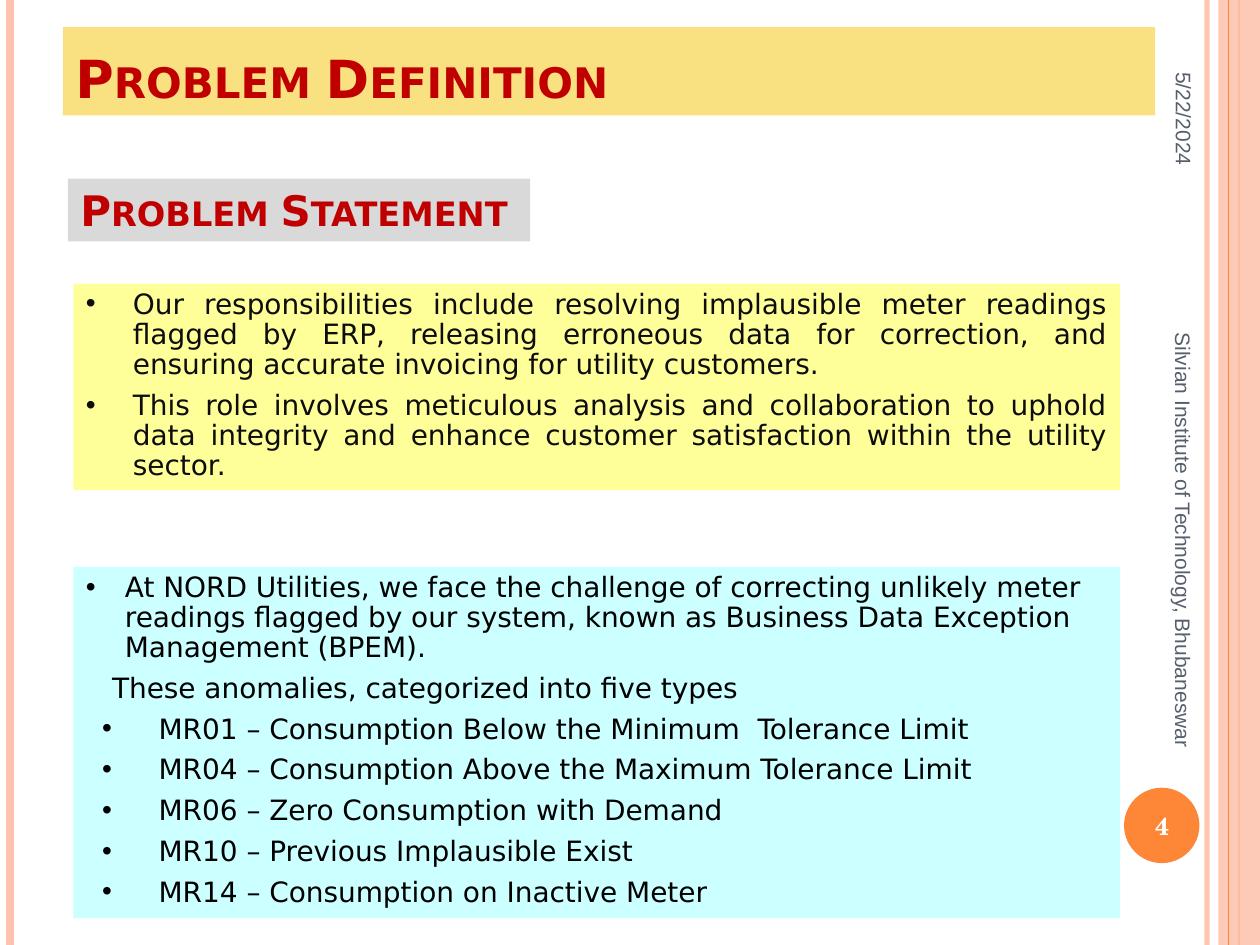
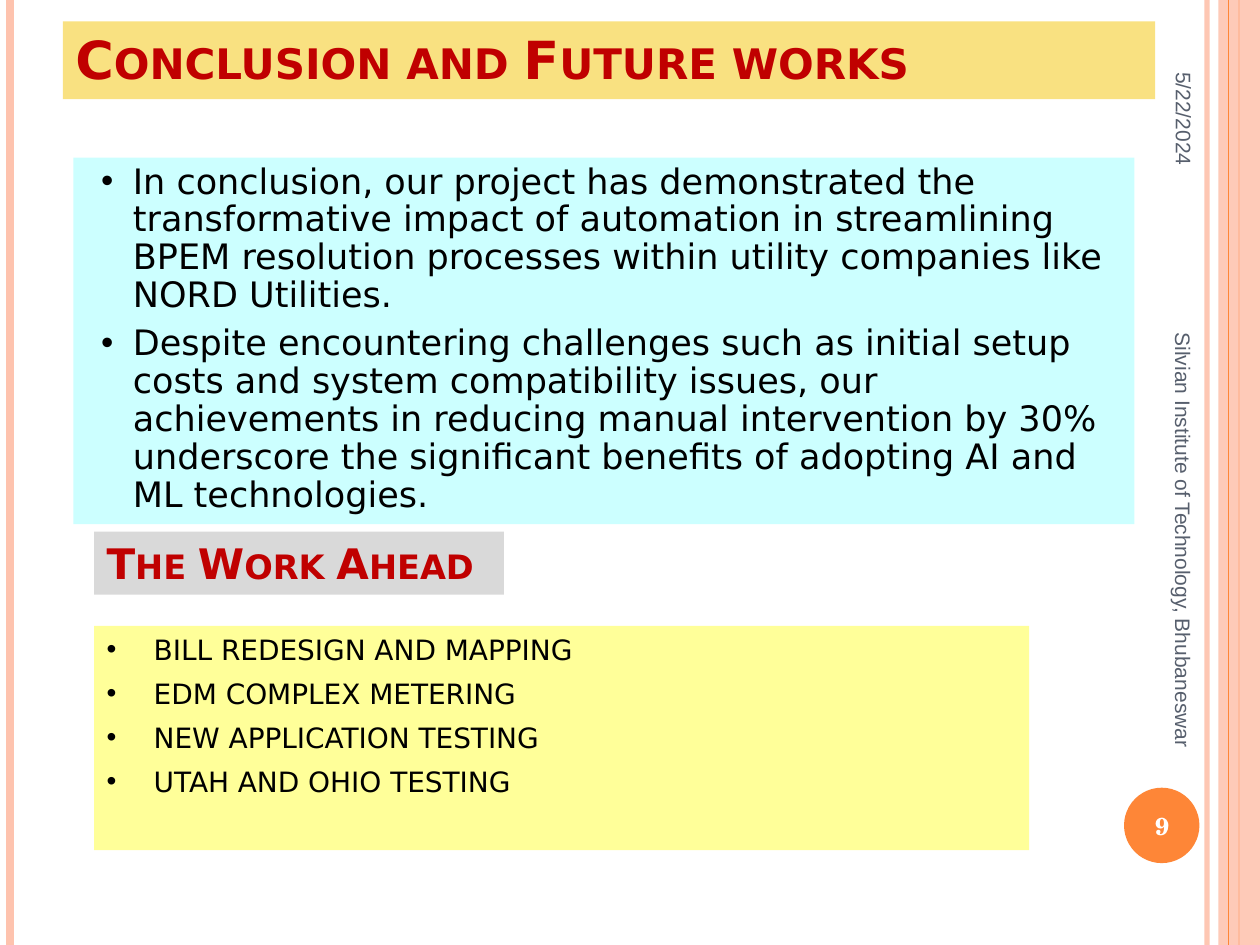
from dataclasses import dataclass
from typing import Any, NamedTuple

import pptx
import pptx.dml.color
import pptx.enum.shapes
import pptx.enum.text
import pptx.oxml.xmlchemy
import pptx.util
from lxml import etree
from pptx.oxml.ns import qn

Cm = pptx.util.Cm
Pt = pptx.util.Pt
Align = pptx.enum.text.PP_ALIGN
Anchor = pptx.enum.text.MSO_ANCHOR
Preset = pptx.enum.shapes.MSO_SHAPE


@dataclass(frozen=True)
class Theme:
    peach: str = "FEC3AE"
    orange: str = "FE8637"
    title_band: str = "F9E181"
    heading_band: str = "D9D9D9"
    yellow: str = "FFFF99"
    cyan: str = "CCFFFF"
    red: str = "C00000"
    ink: str = "000000"
    soft_ink: str = "0D0D0D"
    slate: str = "575F6D"
    white: str = "FFFFFF"
    body_font: str = "DejaVu Sans"
    footer_font: str = "Arial"
    number_font: str = "TeX Gyre Schola"
    title_size: int = 30
    heading_size: int = 24
    large_size: int = 20
    body_size: int = 16
    number_size: int = 14
    footer_size: int = 12


THEME = Theme()


class Box(NamedTuple):
    left: float
    top: float
    width: float
    height: float


class Style(NamedTuple):
    size: int
    color: str
    font: str = THEME.body_font
    bold: bool = False
    small_caps: bool = False


class Para(NamedTuple):
    text: str
    margin: float = 0
    hanging: float = 0
    align: Any = None
    line_spacing: float = 1
    space_after: float = 0


class Rail(NamedTuple):
    x: float
    color: str
    width: float
    alpha: int = 100


class Footer(NamedTuple):
    box: Box
    style: Style
    align: Any
    rotation: int = 0


PAGE_HEIGHT = 19.05
EDGE_BAND = Box(24.56, 0, 0.84, PAGE_HEIGHT)
EDGE_RAIL = Rail(24.98, THEME.orange, 1.5)
OUTER_RAILS = [Rail(24.33, THEME.peach, 3, 93), Rail(0.2, THEME.peach, 4.5)]
INNER_RAIL = Rail(24.77, THEME.orange, 0.75)
NUMBER_DISC = Box(22.66, 15.88, 1.52, 1.52)

TITLE = Style(THEME.title_size, THEME.red, bold=True, small_caps=True)
HEADING = Style(THEME.heading_size, THEME.red, bold=True, small_caps=True)
BODY = Style(THEME.body_size, THEME.ink)
SOFT_BODY = Style(THEME.body_size, THEME.soft_ink)
LARGE_BODY = Style(THEME.large_size, THEME.ink)
FOOTER = Style(THEME.footer_size, THEME.slate, THEME.footer_font)
NUMBER = Style(THEME.number_size, THEME.white, THEME.number_font, bold=True)

DATE = Footer(Box(22.45, 1.63, 2.84, 1.07), FOOTER, Align.RIGHT, 90)
PAGE_NUMBER = Footer(Box(22.58, 15.93, 1.7, 1.45), NUMBER, Align.CENTER)
INSTITUTE = Footer(Box(19.41, 10.39, 8.89, 1.02), FOOTER, Align.LEFT, 90)


def rgb(color: str) -> Any:
    return pptx.dml.color.RGBColor.from_string(color)


def lengths(box: Box) -> list:
    return [Cm(value) for value in box]


def set_alpha(element: Any, percent: int) -> None:
    if percent < 100:
        color = next(element.iter(qn("a:srgbClr")))
        etree.SubElement(color, qn("a:alpha"), val=str(percent * 1000))


def write(frame: Any, paras: list[Para], style: Style, anchor: Any) -> None:
    frame.word_wrap = True
    frame.vertical_anchor = anchor
    for index, para in enumerate(paras):
        paragraph = frame.add_paragraph() if index else frame.paragraphs[0]
        paragraph.alignment = para.align or Align.LEFT
        paragraph.line_spacing = para.line_spacing
        paragraph.space_after = Pt(para.space_after)
        properties = paragraph._p.get_or_add_pPr()
        properties.set("marL", str(Cm(para.margin)))
        properties.set("indent", str(-Cm(para.hanging)))
        if para.hanging:
            etree.SubElement(properties, qn("a:buFont"), typeface="Arial")
            etree.SubElement(properties, qn("a:buChar"), char="•")
        run = paragraph.add_run()
        run.text = para.text
        run.font.size = Pt(style.size)
        run.font.name = style.font
        run.font.bold = style.bold
        run.font.color.rgb = rgb(style.color)
        if style.small_caps:
            run._r.get_or_add_rPr().set("cap", "small")


def add_fill(slide: Any, box: Box, color: str, preset: Any = Preset.RECTANGLE, alpha: int = 100) -> Any:
    shape = slide.shapes.add_shape(preset, *lengths(box))
    shape.shadow.inherit = False
    shape.fill.solid()
    shape.fill.fore_color.rgb = rgb(color)
    shape.line.fill.background()
    set_alpha(shape._element.spPr, alpha)
    return shape


def add_panel(slide: Any, box: Box, color: str, paras: list[Para], style: Style, anchor: Any = Anchor.TOP) -> None:
    write(add_fill(slide, box, color).text_frame, paras, style, anchor)


def add_rail(slide: Any, rail: Rail) -> Any:
    line = slide.shapes.add_connector(
        pptx.enum.shapes.MSO_CONNECTOR.STRAIGHT, Cm(rail.x), Cm(0), Cm(rail.x), Cm(PAGE_HEIGHT)
    )
    line.line.color.rgb = rgb(rail.color)
    line.line.width = Pt(rail.width)
    properties = line._element.spPr
    set_alpha(properties, rail.alpha)
    etree.SubElement(properties, qn("a:effectLst"))
    return line


def add_frame(slide: Any) -> None:
    for rail in OUTER_RAILS:
        add_rail(slide, rail)
    edge_band = add_fill(slide, EDGE_BAND, THEME.peach, alpha=87)
    edge_rail = add_rail(slide, EDGE_RAIL)
    edge_rail.begin_connect(edge_band, 0)
    edge_rail.end_connect(edge_band, 2)
    edge_band._element.addprevious(edge_rail._element)
    add_rail(slide, INNER_RAIL)
    add_fill(slide, NUMBER_DISC, THEME.orange, Preset.OVAL)


def add_footer(slide: Any, footer: Footer, text: str) -> None:
    label = slide.shapes.add_textbox(*lengths(footer.box))
    label.rotation = footer.rotation
    write(label.text_frame, [Para(text, align=footer.align)], footer.style, Anchor.MIDDLE)


def add_footers(slide: Any, number: int) -> None:
    add_footer(slide, DATE, "5/22/2024")
    add_footer(slide, PAGE_NUMBER, str(number))
    add_footer(slide, INSTITUTE, "Silvian Institute of Technology, Bhubaneswar")


def add_title(slide: Any, text: str, top: float, height: float, anchor: Any) -> None:
    add_panel(slide, Box(1.27, top, 22.02, height), THEME.title_band, [Para(text)], TITLE, anchor)


def add_heading(slide: Any, text: str, left: float, top: float, width: float) -> None:
    add_panel(slide, Box(left, top, width, 1.27), THEME.heading_band, [Para(text)], HEADING)


def build_problem(slide: Any) -> None:
    add_frame(slide)
    add_title(slide, "Problem Definition", 0.55, 1.78, Anchor.BOTTOM)
    add_heading(slide, "Problem Statement", 1.37, 3.6, 9.32)
    responsibilities = [
        "Our responsibilities include resolving implausible meter readings flagged by ERP, "
        "releasing erroneous data for correction, and ensuring accurate invoicing for utility customers.",
        "This role involves meticulous analysis and collaboration to uphold data integrity "
        "and enhance customer satisfaction within the utility sector.",
    ]
    add_panel(
        slide, Box(1.48, 5.72, 21.1, 4.16), THEME.yellow,
        [Para(text, 0.95, 0.95, Align.JUSTIFY, 0.9, 6) for text in responsibilities], SOFT_BODY,
    )
    challenge = (
        "At NORD Utilities, we face the challenge of correcting unlikely meter readings flagged "
        "by our system, known as Business Data Exception Management (BPEM)."
    )
    anomalies = [
        "MR01 – Consumption Below the Minimum  Tolerance Limit",
        "MR04 – Consumption Above the Maximum Tolerance Limit",
        "MR06 – Zero Consumption with Demand",
        "MR10 – Previous Implausible Exist",
        "MR14 – Consumption on Inactive Meter",
    ]
    add_panel(
        slide, Box(1.48, 11.43, 21.1, 7.08), THEME.cyan,
        [
            Para(challenge, 0.79, 0.79, None, 0.9, 6),
            Para("These anomalies, categorized into five types", 0.53, 0, None, 0.9, 6),
            *(Para(text, 1.47, 1.14, None, 0.9, 6) for text in anomalies),
        ],
        BODY,
    )
    add_footers(slide, 4)


def build_conclusion(slide: Any) -> None:
    add_frame(slide)
    add_title(slide, "Conclusion and Future works", 0.43, 1.57, Anchor.TOP)
    conclusions = [
        "In conclusion, our project has demonstrated the transformative impact of automation in "
        "streamlining BPEM resolution processes within utility companies like NORD Utilities.",
        "Despite encountering challenges such as initial setup costs and system compatibility issues, "
        "our achievements in reducing manual intervention by 30% underscore the significant benefits "
        "of adopting AI and ML technologies.",
    ]
    add_panel(
        slide, Box(1.48, 3.18, 21.39, 7.39), THEME.cyan,
        [Para(text, 0.95, 0.64, None, 0.9, 6) for text in conclusions], LARGE_BODY,
    )
    add_heading(slide, "The Work Ahead", 1.9, 10.72, 8.26)
    work_ahead = [
        "BILL REDESIGN AND MAPPING",
        "EDM COMPLEX METERING",
        "NEW APPLICATION TESTING",
        "UTAH AND OHIO TESTING",
    ]
    add_panel(
        slide, Box(1.9, 12.62, 18.85, 4.52), THEME.yellow,
        [Para(text, 0.95, 0.95, space_after=6) for text in work_ahead], BODY,
    )
    add_footers(slide, 9)


def main() -> None:
    deck = pptx.Presentation()
    deck.slide_width = Cm(25.4)
    deck.slide_height = Cm(PAGE_HEIGHT)
    for build in (build_problem, build_conclusion):
        build(deck.slides.add_slide(deck.slide_layouts[6]))
    deck.save("out.pptx")


if __name__ == "__main__":
    main()
